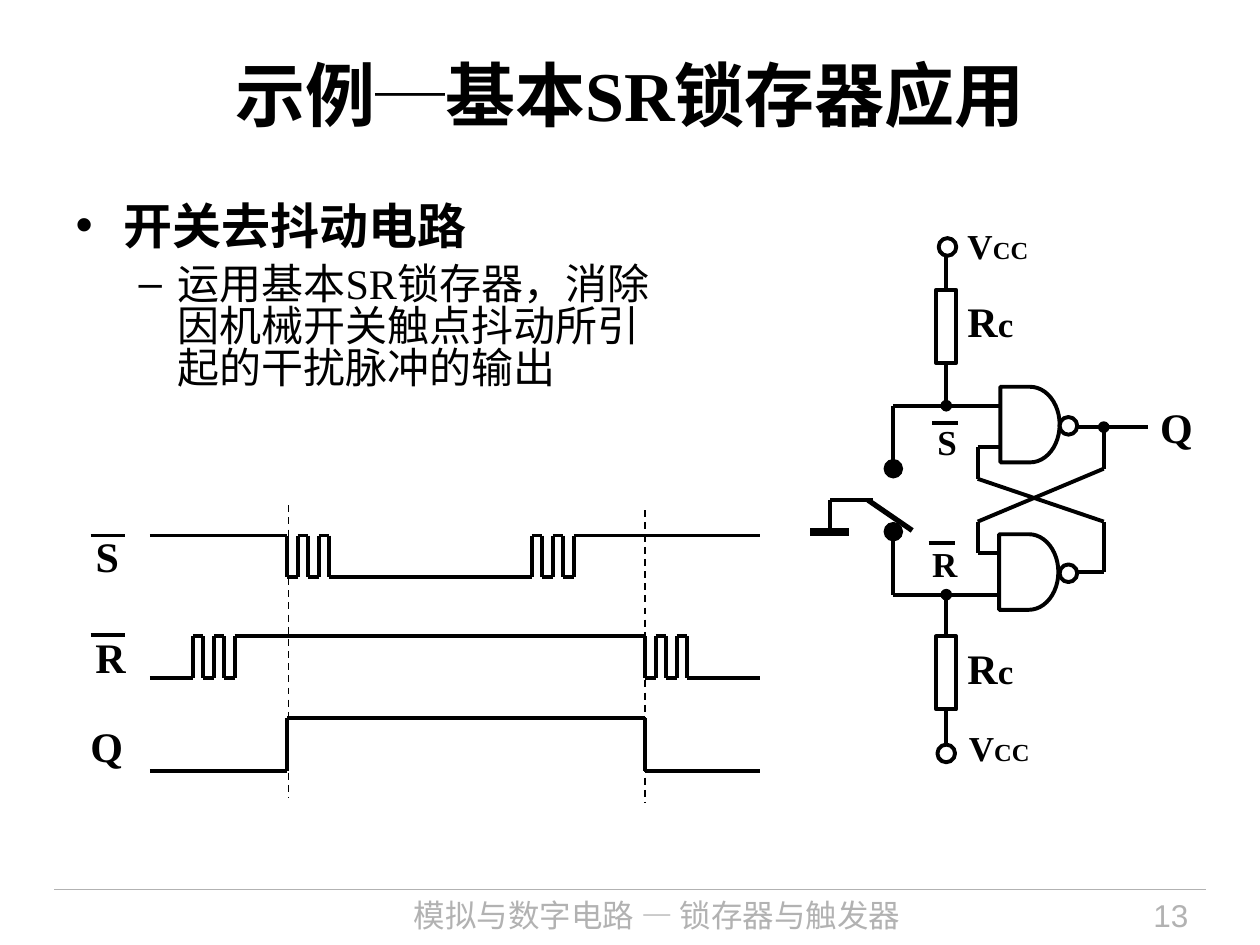
from itertools import pairwise

from lxml.etree import SubElement
from pptx import Presentation
from pptx.dml.color import RGBColor
from pptx.enum.dml import MSO_LINE
from pptx.enum.shapes import MSO_CONNECTOR, MSO_SHAPE
from pptx.enum.text import MSO_ANCHOR, MSO_AUTO_SIZE as FIT, PP_ALIGN
from pptx.oxml.ns import qn
from pptx.util import Inches, Pt

SERIF, SANS, CJK = "Times New Roman", "Arial", "Noto Sans CJK SC"
BLACK, WHITE, GREY = "000000", "FFFFFF", "B2B2B2"
CJK_SPACING = 0.83

TITLE = "示例─基本SR锁存器应用"
BODY = [
    (0, "开关去抖动电路", 28, True, "•", 0.38, -0.38, 7),
    (1, "运用基本SR锁存器，消除因机械开关触点抖动所引起的干扰脉冲的输出",
     24, False, "–", 0.81, -0.31, 6),
]
FOOTERS = [
    ("模拟与数字电路 — 锁存器与触发器", 2.4, 5.63, CJK, PP_ALIGN.CENTER),
    ("13", 8.2, 1.33, SANS, PP_ALIGN.RIGHT),
]
LABELS = [
    ([("V", 20), ("CC", 14)], 7.58, 1.73, 0.68, 0.44),
    ([("V", 20), ("CC", 14)], 7.59, 5.72, 0.68, 0.44),
    ([("R", 24), ("c", 20)], 7.58, 2.3, 0.68, 0.5),
    ([("R", 24), ("c", 20)], 7.58, 5.05, 0.68, 0.5),
    ([("Q", 24)], 9.11, 3.14, 0.46, 0.5),
    ([("S", 20)], 7.34, 3.29, 0.35, 0.44),
    ([("R", 20)], 7.3, 4.26, 0.4, 0.44),
    ([("S", 24)], 0.66, 4.16, 0.38, 0.5),
    ([("R", 24)], 0.66, 4.96, 0.44, 0.5),
    ([("Q", 24)], 0.62, 5.67, 0.46, 0.5),
]
OVERBARS = [(7.4, 7.6, 3.36), (7.37, 7.58, 4.31), (0.72, 0.99, 4.25), (0.72, 0.99, 5.04)]
WIRES = [
    [(8.43, 3.39), (9.11, 3.39)],
    [(8.76, 3.72), (7.76, 4.14), (7.76, 4.39), (7.93, 4.39)],
    [(8.43, 4.54), (8.76, 4.54), (8.76, 4.14), (7.76, 3.8), (7.76, 3.55), (7.93, 3.55)],
    [(7.93, 3.22), (7.09, 3.22)],
    [(7.09, 4.72), (7.93, 4.72)],
    [(6.93, 3.97), (6.59, 3.97), (6.59, 4.22)],
]
DOTTED_WIRES = [
    ((8.76, 3.39), (8.76, 3.72), "med"),
    ((7.09, 3.72), (7.09, 3.22), "lg"),
    ((7.09, 4.22), (7.09, 4.72), "lg"),
]
RESISTORS = [(2.3, 3.22, 1.97), (5.05, 4.72, 5.97)]
GATES = [(7.94, 3.07), (7.93, 4.24)]
RINGS = [(8.41, 3.31), (8.41, 4.48), (7.45, 1.89), (7.44, 5.91)]

WAVE_LEFT, WAVE_RIGHT = 1.19, 6.03
BOUNCE = 1 / 12
WAVES = [
    (4.25, 4.58, True, (2.28, 4.22), 5),
    (5.05, 5.38, False, (1.53, 5.12), 5),
    (5.7, 6.12, False, (2.28, 5.12), 1),
]
GUIDES = [(2.29, 4.01, 6.33), (5.12, 4.05, 6.37)]

prs = Presentation()
prs.slide_width, prs.slide_height = Inches(10), Inches(7.5)
s = prs.slides.add_slide(prs.slide_layouts[1])


def rgb(value):
    return RGBColor.from_string(value)


def place(sp, *box):
    sp.left, sp.top, sp.width, sp.height = map(Inches, box)


def style(r, size, font=SERIF, color=BLACK, bold=False):
    r.font.size, r.font.name, r.font.bold = Pt(size), font, bold
    r.font.color.rgb = rgb(color)
    SubElement(r.font._element, qn("a:ea"), typeface=CJK)


def add_line(start, end, width=2.25, color=BLACK, dash=None, dot=None):
    c = s.shapes.add_connector(MSO_CONNECTOR.STRAIGHT, *map(Inches, start + end))
    c.line.color.rgb, c.line.width = rgb(color), Pt(width)
    if dash:
        c.line.dash_style = dash
    if dot:
        SubElement(c.line._get_or_add_ln(), qn("a:headEnd"), type="oval", w=dot, len=dot)
    SubElement(c._element.spPr, qn("a:effectLst"))
    return c


def add_path(points):
    for start, end in pairwise(points):
        add_line(start, end)


def add_outline(kind, box, fill=None):
    sp = s.shapes.add_shape(kind, *map(Inches, box))
    sp.shadow.inherit = False
    sp.line.color.rgb, sp.line.width = rgb(BLACK), Pt(2.25)
    if fill:
        sp.fill.solid()
        sp.fill.fore_color.rgb = rgb(fill)
    else:
        sp.fill.background()
    return sp


def add_text(runs, box, font=SERIF, color=BLACK, bold=True, align=PP_ALIGN.LEFT, wrap=False):
    tf = s.shapes.add_textbox(*map(Inches, box)).text_frame
    tf.word_wrap = wrap
    tf.auto_size = FIT.NONE if wrap else FIT.SHAPE_TO_FIT_TEXT
    p = tf.paragraphs[0]
    p.alignment = align
    for text, size in runs:
        r = p.add_run()
        r.text = text
        style(r, size, font, color, bold)


def wave_points(high, low, is_high, bursts, count):
    y = high if is_high else low
    points = [(WAVE_LEFT, y)]
    for x in (b + i * BOUNCE for b in bursts for i in range(count)):
        points.append((x, y))
        y = high + low - y
        points.append((x, y))
    return points + [(WAVE_RIGHT, y)]


title, body = s.shapes.title, s.placeholders[1]
place(title, 0.5, 0.17, 9, 1.25)
tf = title.text_frame
tf.text = TITLE
tf.vertical_anchor, tf.auto_size = MSO_ANCHOR.MIDDLE, FIT.NONE
p = tf.paragraphs[0]
p.alignment, p.line_spacing = PP_ALIGN.CENTER, CJK_SPACING
style(p.runs[0], 40, bold=True)

place(body, 0.5, 1.58, 4.96, 2.39)
tf = body.text_frame
tf.auto_size = FIT.NONE
tf.text = "\n".join(item[1] for item in BODY)
for p, (level, _, size, bold, bullet, margin, indent, after) in zip(tf.paragraphs, BODY):
    p.level = level
    pPr = p._p.get_or_add_pPr()
    pPr.set("marL", str(Inches(margin)))
    pPr.set("indent", str(Inches(indent)))
    SubElement(pPr, qn("a:buChar"), char=bullet)
    p.line_spacing = CJK_SPACING
    p.space_before, p.space_after = Pt(0), Pt(after)
    style(p.runs[0], size, bold=bold)

add_line((0.43, 7.06), (9.57, 7.06), 0.75, GREY)
for text, left, width, font, align in FOOTERS:
    add_text([(text, 18)], (left, 7.06, width, 0.44), font, GREY, False, align, True)

for points in WIRES:
    add_path(points)
for start, end, dot in DOTTED_WIRES:
    add_line(start, end, dot=dot)
add_line((6.43, 4.22), (6.74, 4.22), 4.5)
add_line((6.89, 3.97), (7.24, 4.21), 3)

for top, node, supply in RESISTORS:
    resistor = add_outline(MSO_SHAPE.RECTANGLE, (7.43, top, 0.16, 0.58))
    for y, dot in ((node, "med"), (supply, None)):
        lead = add_line((7.51, y), (7.51, top), dot=dot)
        lead.end_connect(resistor, 0 if y < top else 2)

for wave in WAVES:
    add_path(wave_points(*wave))
for x, top, bottom in GUIDES:
    add_line((x, top), (x, bottom), 1, dash=MSO_LINE.DASH)

for left, top in GATES:
    add_outline(MSO_SHAPE.FLOWCHART_DELAY, (left, top, 0.47, 0.6), WHITE)
for left, top in RINGS:
    add_outline(MSO_SHAPE.OVAL, (left, top, 0.14, 0.14), WHITE)
for left, right, y in OVERBARS:
    add_line((left, y), (right, y))
for runs, *box in LABELS:
    add_text(runs, box)

prs.save("out.pptx")
